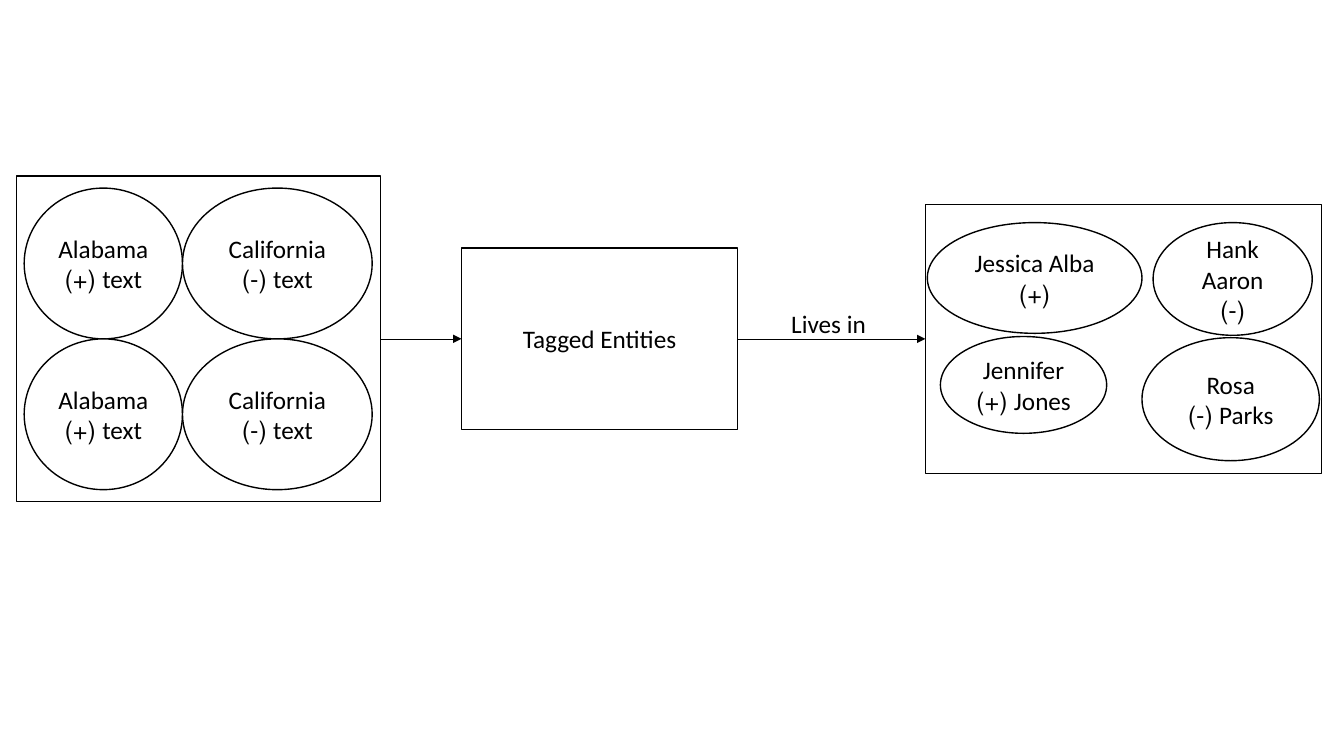
from dataclasses import dataclass
from lxml.etree import SubElement
from pptx import Presentation
from pptx.dml.color import RGBColor
from pptx.enum.shapes import MSO_CONNECTOR, MSO_SHAPE
from pptx.enum.text import MSO_ANCHOR, MSO_AUTO_SIZE, PP_ALIGN
from pptx.oxml.ns import qn
from pptx.util import Cm, Pt


@dataclass
class Theme:
    ink: RGBColor = RGBColor(0, 0, 0)
    paper: RGBColor = RGBColor(255, 255, 255)
    font: str = "Calibri"
    size: int = 18
    edge: float = 1
    wire: float = 0.5


def write(frame, text, theme, align=PP_ALIGN.CENTER, anchor=MSO_ANCHOR.MIDDLE):
    """Fill a text frame with one right-to-left paragraph."""
    frame.word_wrap = True
    frame.vertical_anchor = anchor
    para = frame.paragraphs[0]
    para.alignment = align
    para._p.get_or_add_pPr().set("rtl", "1")
    run = para.add_run()
    run.text = text
    run.font.name = theme.font
    run.font.size = Pt(theme.size)
    run.font.color.rgb = theme.ink


class Board:
    def __init__(self, slide, theme):
        self.slide, self.theme = slide, theme

    def group(self):
        return self.slide.shapes.add_group_shape()

    def shape(self, kind, x, y, w, h, text="", group=None):
        home = group or self.slide
        item = home.shapes.add_shape(kind, Cm(x), Cm(y), Cm(w), Cm(h))
        item.shadow.inherit = False
        item.fill.solid()
        item.fill.fore_color.rgb = self.theme.paper
        item.line.color.rgb = self.theme.ink
        item.line.width = Pt(self.theme.edge)
        if text:
            write(item.text_frame, text, self.theme)
        return item

    def box(self, x, w, h, **extra):
        """Add a rectangle centred on the common axis."""
        return self.shape(MSO_SHAPE.RECTANGLE, x, AXIS - h / 2, w, h, **extra)

    def oval(self, x, y, w, h, text, group):
        return self.shape(MSO_SHAPE.OVAL, x, y, w, h, text, group)

    def arrow(self, start, end):
        """Join the right side of one box to the left side of the next."""
        link = self.slide.shapes.add_connector(MSO_CONNECTOR.STRAIGHT, 0, 0, 0, 0)
        link.begin_connect(start, 3)
        link.end_connect(end, 1)
        link.line.color.rgb = self.theme.ink
        link.line.width = Pt(self.theme.wire)
        SubElement(link.line._get_or_add_ln(), qn("a:tailEnd"), type="triangle")
        SubElement(link._element.spPr, qn("a:effectLst"))

    def label(self, x, y, w, h, text):
        note = self.slide.shapes.add_textbox(Cm(x), Cm(y), Cm(w), Cm(h))
        write(note.text_frame, text, self.theme, PP_ALIGN.RIGHT, MSO_ANCHOR.TOP)
        note.text_frame.auto_size = MSO_AUTO_SIZE.SHAPE_TO_FIT_TEXT


AXIS = 8.54
ROW = 3.8
STATES = [("Alabama text (+)", 0.61, 3.99), ("California text (-)", 4.6, 4.78)]
PEOPLE = [
    ("Jessica Alba (+)", 23.37, 5.61, 5.41, 2.79),
    ("Jennifer Jones (+)", 23.7, 8.48, 4.19, 2.44),
    ("Hank Aaron (-)", 29.06, 5.61, 4.01, 2.84),
    ("Rosa Parks (-)", 28.78, 8.51, 4.47, 3.1),
]


def main():
    deck = Presentation()
    deck.slide_width, deck.slide_height = Cm(33.87), Cm(19.05)
    board = Board(deck.slides.add_slide(deck.slide_layouts[6]), Theme())

    # States: two columns meeting on the axis
    left = board.group()
    states = board.box(0.41, 9.18, 8.2, group=left)
    for text, x, w in STATES:
        for y in (AXIS - ROW, AXIS):
            board.oval(x, y, w, ROW, text, left)

    # Tagged entities
    tagged = board.box(11.63, 6.96, 4.58, text="Tagged Entities")

    # People
    right = board.group()
    people = board.box(23.32, 9.98, 6.78, group=right)
    for text, *place in PEOPLE:
        board.oval(*place, text, right)

    # Flow from left to right
    board.arrow(states, tagged)
    board.arrow(tagged, people)
    board.label(19.1, 7.65, 2.97, 1.02, "Lives in")

    deck.save("out.pptx")


if __name__ == "__main__":
    main()
